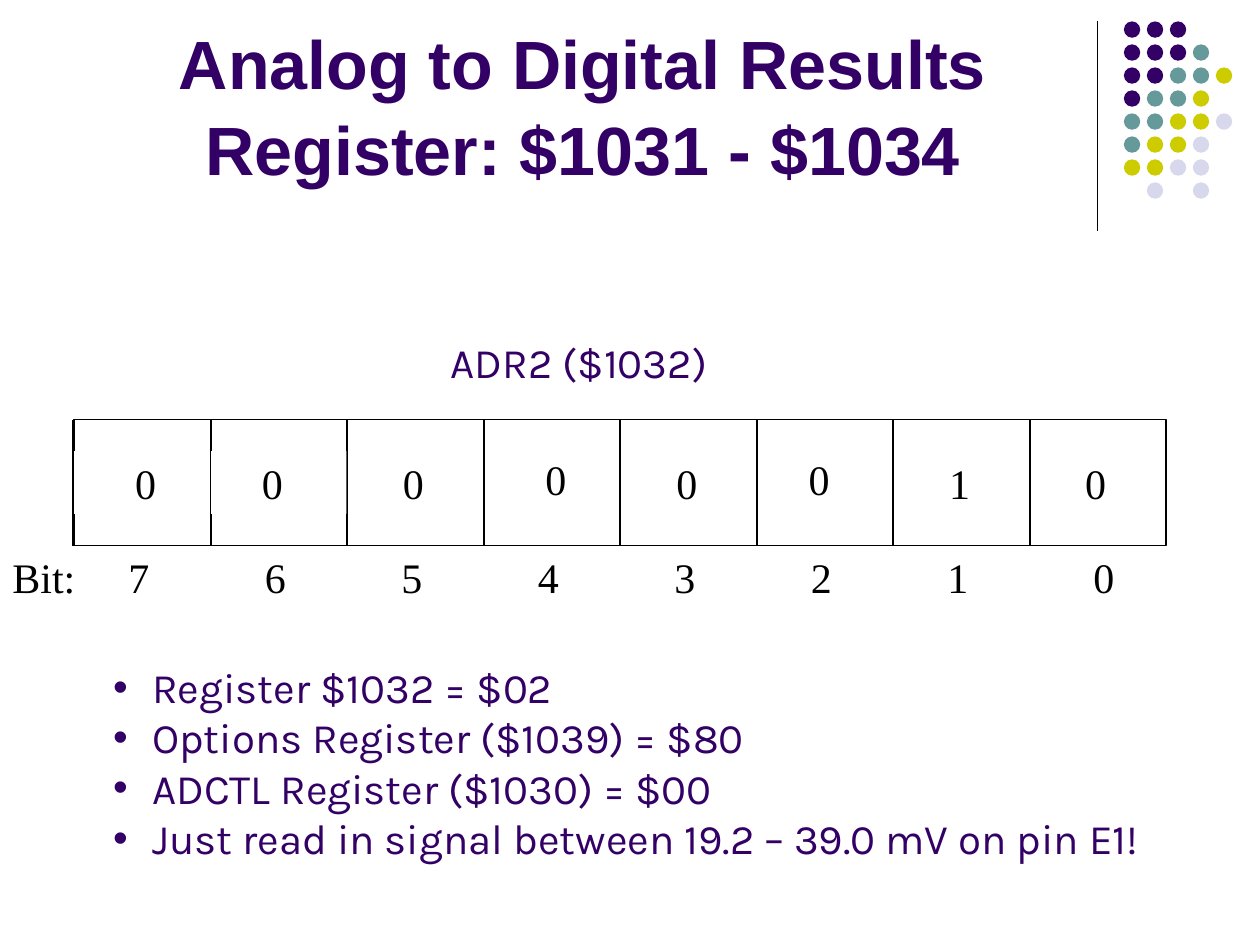
from pptx import Presentation
from pptx.dml.color import RGBColor
from pptx.enum.shapes import MSO_CONNECTOR, MSO_SHAPE
from pptx.enum.text import MSO_ANCHOR, MSO_AUTO_SIZE, PP_ALIGN
from pptx.oxml.ns import qn
from pptx.util import Inches, Pt
from lxml.etree import SubElement

COLORS = {
    "purple": "330066",
    "teal": "669999",
    "lime": "CCCC00",
    "mist": "D8D8EC",
    "black": "000000",
    "white": "FFFFFF",
}
DOT_COLORS = {"p": "purple", "t": "teal", "l": "lime", "m": "mist"}
DOT_ROWS = ["ppp", "pppt", "ppttl", "pttl", "ttllm", "tllm", "llmm", " m m"]
DOT_PITCH = 0.73 / 4
CELL_PITCH = 13 / 12
BITS = "76543210"
DIGITS = [
    (0.58, 1.25, "0"),
    (1.67, 1.08, "0"),
    (2.83, 1, "0"),
    (5, 1, "0"),
    (7.25, 0.83, "1"),
    (8.33, 0.83, "0"),
]
FINDINGS = [
    "Register $1032 = $02",
    "Options Register ($1039) = $80",
    "ADCTL Register ($1030) = $00",
    "Just read in signal between 19.2 – 39.0 mV on pin E1!",
]


class SlideBuilder:
    """Holds the style and the current slide, and adds elements to it."""

    def __init__(self, s, font="Times New Roman", size=24):
        self.s = s
        self.font = font
        self.size = size

    def color(self, name):
        return RGBColor.from_string(COLORS[name])

    def shape(self, kind, x, y, w, h, fill, line=None):
        sp = self.s.shapes.add_shape(kind, Inches(x), Inches(y), Inches(w), Inches(h))
        sp.shadow.inherit = False
        sp.fill.solid()
        sp.fill.fore_color.rgb = self.color(fill)
        if line:
            sp.line.color.rgb = self.color(line)
            sp.line.width = Pt(1)
        else:
            sp.line.fill.background()

    def line(self, x, y1, y2):
        sp = self.s.shapes.add_connector(
            MSO_CONNECTOR.STRAIGHT, Inches(x), Inches(y1), Inches(x), Inches(y2))
        sp.line.color.rgb = self.color("black")
        sp.line.width = Pt(0.75)
        SubElement(sp._element.spPr, qn("a:effectLst"))

    def text(self, x, y, w, h, lines, font=None, size=None, color="black",
             wrap=True, align=PP_ALIGN.LEFT):
        sp = self.s.shapes.add_textbox(Inches(x), Inches(y), Inches(w), Inches(h))
        tf = sp.text_frame
        tf.word_wrap = wrap
        tf.auto_size = MSO_AUTO_SIZE.SHAPE_TO_FIT_TEXT
        tf.text = "\n".join(lines)
        for p in tf.paragraphs:
            p.alignment = align
            p.font.name = font or self.font
            p.font.size = Pt(size or self.size)
            p.font.color.rgb = self.color(color)
        return sp

    def title(self, x, y, w, h, text):
        sp = self.text(x, y, w, h, [text], "Arial", 39, "purple", align=PP_ALIGN.CENTER)
        tf = sp.text_frame
        tf.auto_size = MSO_AUTO_SIZE.NONE
        tf.vertical_anchor = MSO_ANCHOR.BOTTOM
        p = tf.paragraphs[0]
        p.font.bold = True
        p.line_spacing = 1.05

    def digit(self, x, y, w, h, text):
        sp = self.text(x, y, w, h, [text], align=PP_ALIGN.CENTER)
        sp.text_frame.margin_left = 0
        sp.fill.solid()
        sp.fill.fore_color.rgb = self.color("white")

    def bullets(self, x, y, w, h, lines):
        sp = self.text(x, y, w, h, lines, "Karla", color="purple", wrap=False)
        for p in sp.text_frame.paragraphs:
            pPr = p._p.get_or_add_pPr()
            pPr.set("marL", str(Inches(0.31)))
            pPr.set("indent", str(-Inches(0.31)))
            bullet_font = pPr.makeelement(qn("a:buFont"), {"typeface": "Arial"})
            bullet = pPr.makeelement(qn("a:buChar"), {"char": "•"})
            pPr.insert(0, bullet_font)
            pPr.insert(1, bullet)


def main():
    prs = Presentation()
    prs.slide_width, prs.slide_height = Inches(10), Inches(7.5)
    b = SlideBuilder(prs.slides.add_slide(prs.slide_layouts[6]))

    b.line(8.71, 0.17, 1.83)
    for row, dots in enumerate(DOT_ROWS):
        for col, dot in enumerate(dots):
            if dot in DOT_COLORS:
                b.shape(MSO_SHAPE.OVAL, 8.92 + col * DOT_PITCH, 0.17 + row * DOT_PITCH,
                        0.13, 0.13, DOT_COLORS[dot])
    b.title(0.5, 0.13, 8.25, 1.42, "Analog to Digital Results Register: $1031 - $1034")

    for i in range(len(BITS)):
        b.shape(MSO_SHAPE.RECTANGLE, 0.59 + i * CELL_PITCH, 3.33, CELL_PITCH, 1,
                "white", "black")
    for x, w, digit in DIGITS:
        b.digit(x, 3.58, w, 0.5, digit)
    b.shape(MSO_SHAPE.RECTANGLE, 3.92, 3.58, 0.1, 0.5, "white")

    b.text(0, 4.33, 0.75, 0.5, ["Bit:"])
    for i, bit in enumerate(BITS):
        x = 8.58 if bit == "0" else 0.92 + i * CELL_PITCH
        b.text(x, 4.33, 0.42, 0.5, [bit])
    b.line(0.58, 4.33, 3.33)
    b.line(1.67, 4.33, 3.42)
    for x in (4.23, 6.32):
        b.text(x, 3.55, 0.36, 0.5, ["0"], wrap=False)

    b.text(3.48, 2.62, 2.29, 0.5, ["ADR2 ($1032)"], "Karla", color="purple", wrap=False)
    b.bullets(0.8, 5.2, 8.61, 1.7, FINDINGS)
    prs.save("out.pptx")


if __name__ == "__main__":
    main()
